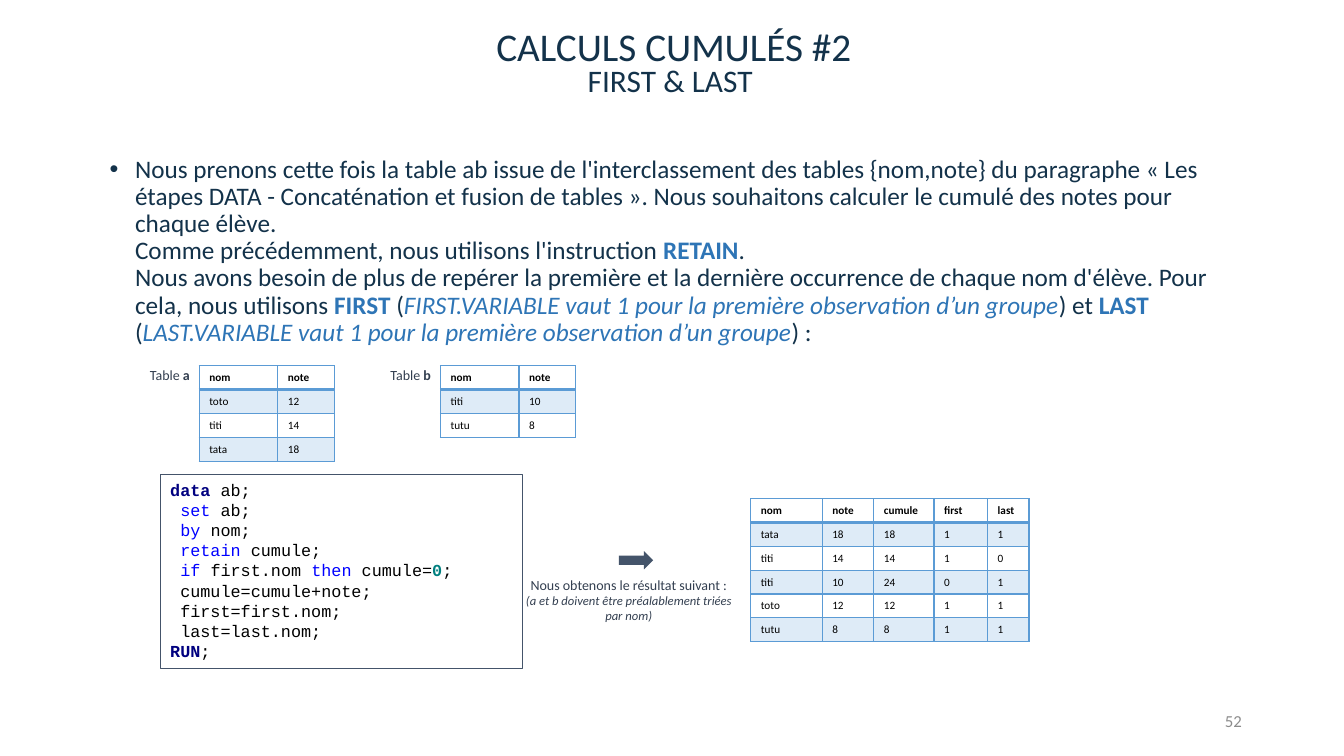
from lxml.etree import SubElement
from pptx import Presentation
from pptx.dml.color import RGBColor
from pptx.enum.shapes import MSO_SHAPE
from pptx.enum.text import MSO_ANCHOR, MSO_AUTO_SIZE, PP_ALIGN
from pptx.oxml.ns import qn
from pptx.util import Cm, Pt

INK, ACCENT, SLATE, GREY = "13324A", "2E75B6", "333F50", "8C8C8C"
BLACK, STEEL, BORDER, BAND = "000000", "44546A", "5B9BD5", "DEEBF7"
NAVY, BLUE, TEAL = "000080", "0000FF", "008080"


def colour(value):
    return RGBColor.from_string(value)


class Page:
    font = "Calibri"
    code_font = "Courier New"

    def __init__(self, deck):
        self.slide = deck.slides.add_slide(deck.slide_layouts[1])

    def place(self, shape, box):
        shape.left, shape.top, shape.width, shape.height = map(Cm, box)

    def add_spans(self, para, spans, size, font=None):
        for text, ink, *style in spans:
            for number, line in enumerate(text.split("\n")):
                if number:
                    para.add_line_break()
                span = para.add_run()
                span.text = line
                span.font.name = font or self.font
                span.font.size = Pt(9 if "small" in style else size)
                span.font.bold = "bold" in style
                span.font.italic = "italic" in style
                span.font.color.rgb = colour(ink)
                if "caps" in style:
                    span.font._element.set("cap", "small")

    def placeholder(self, shape, box, spans, size):
        self.place(shape, box)
        frame = shape.text_frame
        frame.auto_size = MSO_AUTO_SIZE.NONE
        para = frame.paragraphs[0]
        para.line_spacing = 0.9
        para.space_before = Pt(0)
        self.add_spans(para, spans, size)
        return frame

    def title(self, box, spans, size):
        frame = self.placeholder(self.slide.shapes.title, box, spans, size)
        frame.vertical_anchor = MSO_ANCHOR.MIDDLE
        frame.paragraphs[0].alignment = PP_ALIGN.CENTER

    def body(self, box, spans, size):
        shape = self.slide.placeholders[1]
        properties = shape.text_frame.paragraphs[0]._p.get_or_add_pPr()
        properties.set("marL", str(Cm(0.64)))
        properties.set("indent", str(Cm(-0.64)))
        SubElement(properties, qn("a:buFont"), typeface="Arial")
        SubElement(properties, qn("a:buChar"), char="•")
        frame = self.placeholder(shape, box, spans, size)
        frame.vertical_anchor = MSO_ANCHOR.TOP

    def text(self, box, spans, size, align=PP_ALIGN.CENTER, anchor=MSO_ANCHOR.TOP, spacing=1.0):
        frame = self.slide.shapes.add_textbox(*map(Cm, box)).text_frame
        frame.word_wrap = True
        frame.vertical_anchor = anchor
        para = frame.paragraphs[0]
        para.alignment = align
        para.line_spacing = spacing
        self.add_spans(para, spans, size)

    def code(self, box, lines, size):
        shape = self.slide.shapes.add_shape(MSO_SHAPE.RECTANGLE, *map(Cm, box))
        shape.shadow.inherit = False
        shape.fill.background()
        shape.line.color.rgb = colour(STEEL)
        shape.line.width = Pt(0.25)
        frame = shape.text_frame
        frame.word_wrap = True
        frame.vertical_anchor = MSO_ANCHOR.TOP
        for number, spans in enumerate(lines):
            para = frame.add_paragraph() if number else frame.paragraphs[0]
            para.alignment = PP_ALIGN.LEFT
            self.add_spans(para, spans, size, self.code_font)

    def arrow(self, box):
        shape = self.slide.shapes.add_shape(MSO_SHAPE.RIGHT_ARROW, *map(Cm, box))
        shape.shadow.inherit = False
        shape.fill.solid()
        shape.fill.fore_color.rgb = colour(STEEL)
        shape.line.fill.background()

    def border(self, cell, side, width):
        line = SubElement(cell._tc.get_or_add_tcPr(), qn(f"a:ln{side}"), w=str(Pt(width)))
        fill = SubElement(line, qn("a:solidFill"))
        SubElement(fill, qn("a:srgbClr"), val=BORDER)

    def table(self, left, top, widths, row_height, rows):
        size = Cm(sum(widths)), Cm(row_height * len(rows))
        table = self.slide.shapes.add_table(
            len(rows), len(widths), Cm(left), Cm(top), *size).table
        table.first_row = table.horz_banding = False
        for column, width in zip(table.columns, widths):
            column.width = Cm(width)
        for y, values in enumerate(rows):
            table.rows[y].height = Cm(row_height)
            for x, value in enumerate(values.split()):
                cell = table.cell(y, x)
                for side in "LRTB":
                    heavy = (side == "B" and y == 0) or (side == "T" and y == 1)
                    self.border(cell, side, 2 if heavy else 1)
                if y % 2:
                    cell.fill.solid()
                    cell.fill.fore_color.rgb = colour(BAND)
                else:
                    cell.fill.background()
                style = ["bold"] if y == 0 else []
                self.add_spans(cell.text_frame.paragraphs[0], [(value, BLACK, *style)], 8)


def main():
    deck = Presentation()
    deck.slide_width, deck.slide_height = Cm(33.87), Cm(19.05)
    page = Page(deck)

    page.title((4.52, 0.58, 24.92, 1.32), [("CALCULS CUMULÉS #2", INK)], 28)
    page.text((4.52, 1.35, 24.92, 1.32), [("first & last ", INK, "caps")], 28,
              anchor=MSO_ANCHOR.MIDDLE, spacing=0.9)
    page.body((2.51, 3.81, 29.21, 15.11), [
        ("Nous prenons cette fois la table ab issue de l'interclassement des tables "
         "{nom,note} du paragraphe « Les étapes DATA - Concaténation et fusion de "
         "tables ». Nous souhaitons calculer le cumulé des notes pour chaque élève.\n"
         "Comme précédemment, nous utilisons l'instruction ", INK),
        ("RETAIN", ACCENT, "bold"),
        (".\nNous avons besoin de plus de repérer la première et la dernière occurrence "
         "de chaque nom d'élève. Pour cela, nous utilisons ", INK),
        ("FIRST ", ACCENT, "bold"),
        ("(", INK),
        ("FIRST.VARIABLE vaut 1 pour la première observation d’un groupe", ACCENT, "italic"),
        (") et ", INK),
        ("LAST ", ACCENT, "bold"),
        ("(", INK),
        ("LAST.VARIABLE vaut 1 pour la première observation d’un groupe", ACCENT, "italic"),
        (") :", INK),
    ], 18)

    sources = [
        ("a", 3.18, 5.02, ["nom note", "toto 12", "titi 14", "tata 18"]),
        ("b", 9.25, 11.1, ["nom note", "titi 10", "tutu 8"]),
    ]
    for name, label_left, table_left, rows in sources:
        page.table(table_left, 9.22, [1.98, 1.42], 0.6, rows)
        page.text((label_left, 9.12, 2.2, 0.69),
                  [("Table ", SLATE), (name, SLATE, "bold")], 10)

    page.code((4.04, 11.96, 9.12, 4.88), [
        [("data", NAVY, "bold"), (" ab;", BLACK)],
        [(" set", BLUE), (" ab;", BLACK)],
        [(" by", BLUE), (" nom;", BLACK)],
        [(" retain", BLUE), (" cumule;", BLACK)],
        [(" if ", BLUE), ("first.nom ", BLACK), ("then", BLUE), (" cumule=", BLACK),
         ("0", TEAL, "bold"), (";", BLACK)],
        [(" cumule=cumule+note;", BLACK)],
        [(" first=first.nom;", BLACK)],
        [(" last=last.nom;", BLACK)],
        [("RUN", NAVY, "bold"), (";", BLACK)],
    ], 12)
    page.arrow((15.6, 13.89, 0.86, 0.46))
    page.text((13, 14.4, 5.69, 1.5), [
        ("Nous obtenons le résultat suivant : ", SLATE),
        ("(a et b doivent être préalablement triées par nom)", SLATE, "italic", "small"),
    ], 10)
    page.table(18.92, 12.57, [1.8, 1.3, 1.52, 1.35, 1.04], 0.6, [
        "nom note cumule first last",
        "tata 18 18 1 1",
        "titi 14 14 1 0",
        "titi 10 24 0 1",
        "toto 12 12 1 1",
        "tutu 8 8 1 1",
    ])
    page.text((23.93, 17.65, 7.62, 1.02), [("52", GREY)], 12,
              align=PP_ALIGN.RIGHT, anchor=MSO_ANCHOR.MIDDLE)
    deck.save("out.pptx")


if __name__ == "__main__":
    main()
